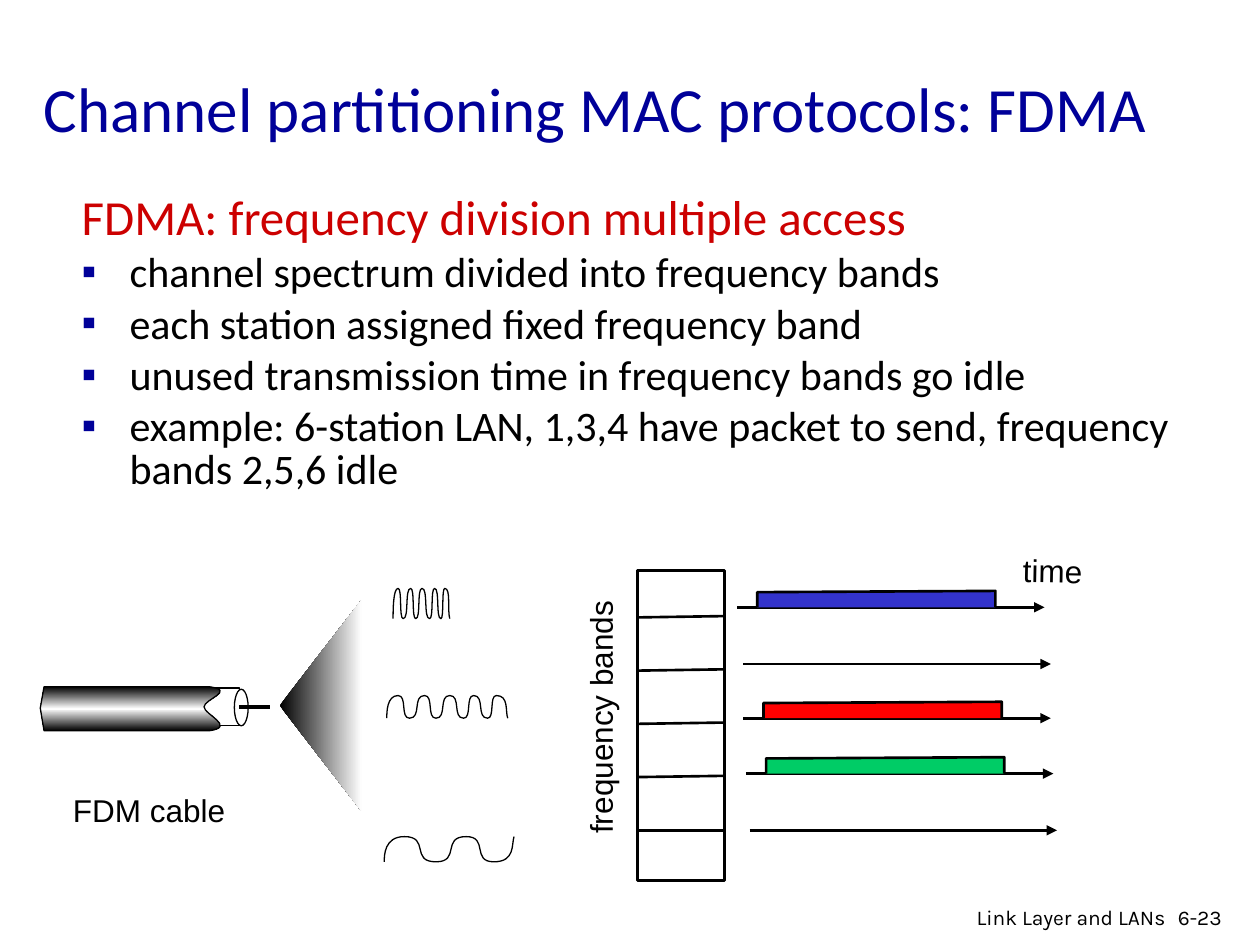
from copy import deepcopy
from typing import NamedTuple, Optional

from lxml.etree import SubElement as Sub
from pptx import Presentation
from pptx.dml.color import RGBColor
from pptx.enum.shapes import MSO_CONNECTOR as Link, MSO_SHAPE as Kind
from pptx.enum.text import MSO_ANCHOR as Anchor, MSO_AUTO_SIZE as Auto, PP_ALIGN as Align
from pptx.oxml.ns import qn
from pptx.util import Inches, Pt

BLACK, WHITE, NAVY, RED = "000000", "FFFFFF", "000099", "CC0000"


class Lane(NamedTuple):
    x: float
    y: float
    fill: Optional[str] = None


class Wave(NamedTuple):
    xs: tuple
    low: float
    high: float


class Label(NamedTuple):
    text: str
    box: tuple
    turn: float = 0


LANES = [
    Lane(5.85, 4.82, "3333CC"),
    Lane(5.9, 5.27),
    Lane(5.9, 5.7, "FF0000"),
    Lane(5.92, 6.14, "00CC66"),
    Lane(5.95, 6.59),
]
WAVES = [
    Wave((3.07, 3.16, 3.25, 3.37, 3.46, 3.57, 3.68, 3.76, 3.87, 3.94, 4.03), 5.7, 5.52),
    Wave((3.12, 3.16, 3.2, 3.26, 3.3, 3.35, 3.41, 3.45, 3.5, 3.53, 3.57), 4.91, 4.67),
    Wave((3.05, 3.21, 3.46, 3.7, 3.92, 4.08), 6.84, 6.64),
]
LABELS = [
    Label("frequency bands", (3.74, 5.49, 2.05, 0.4), 270),
    Label("time", (8.02, 4.33, 0.67, 0.4), 1.1),
    Label("FDM cable", (0.48, 6.23, 1.41, 0.4)),
]
POINTS = [
    "channel spectrum divided into frequency bands",
    "each station assigned fixed frequency band",
    "unused transmission time in frequency bands go idle",
    "example: 6-station LAN, 1,3,4 have packet to send, frequency bands 2,5,6 idle",
]

deck = Presentation()
deck.slide_width, deck.slide_height = Inches(10), Inches(7.5)
slide = deck.slides.add_slide(deck.slide_layouts[6])
shapes = slide.shapes


def tint(part, code: str) -> None:
    if hasattr(part, "solid"):
        part.solid()
        part = part.fore_color
    part.rgb = RGBColor.from_string(code)


def write(para, text: str, *, size=18, face="Arial", color=BLACK, align=None) -> None:
    run = para.add_run()
    run.text = text
    run.font.size, run.font.name = Pt(size), face
    tint(run.font.color, color)
    para.alignment = align


def frame(box: tuple, *, wrap=True, turn=0.0, anchor=Anchor.TOP):
    shape = shapes.add_textbox(*map(Inches, box))
    shape.rotation = turn
    text = shape.text_frame
    text.word_wrap, text.vertical_anchor = wrap, anchor
    text.auto_size = Auto.NONE if wrap else Auto.SHAPE_TO_FIT_TEXT
    return text


def style(shape, fill: Optional[str], width: float) -> None:
    shape.shadow.inherit = False
    if fill:
        tint(shape.fill, fill)
    else:
        shape.fill.background()
    if width:
        tint(shape.line.fill, BLACK)
        shape.line.width = Pt(width)
    else:
        shape.line.fill.background()


def block(kind, box: tuple, width: float) -> None:
    style(shapes.add_shape(kind, *map(Inches, box)), WHITE, width)


def line(start: tuple, end: tuple, width=1.5, arrow=False) -> None:
    link = shapes.add_connector(Link.STRAIGHT, *map(Inches, start + end))
    tint(link.line.fill, BLACK)
    link.line.width = Pt(width)
    props = link._element.spPr
    if arrow:
        Sub(props.find(qn("a:ln")), qn("a:tailEnd"), type="triangle")
    Sub(props, qn("a:effectLst"))


def trace(start: tuple, steps: list, fill: Optional[str] = None, width=0.75, close=False):
    spots = [(Inches(x), Inches(y)) for step in steps for x, y in step]
    maker = shapes.build_freeform(*map(Inches, start))
    maker.add_line_segments(spots, close=close)
    shape = maker.convert_to_shape()
    style(shape, fill, width)
    legs = iter(list(shape._element.iter(qn("a:lnTo"))))
    for step in steps:
        first, *rest = [next(legs) for _ in step]
        if rest:
            first.tag = qn("a:cubicBezTo")
            for leg in rest:
                first.append(leg[0])
                leg.getparent().remove(leg)
    return shape


def blend(shape, codes: list, angle: float) -> None:
    shape.fill.gradient()
    shape.fill.gradient_angle = angle
    stops = shape._element.spPr.find(qn("a:gradFill")).find(qn("a:gsLst"))
    while len(stops) < len(codes):
        stops.append(deepcopy(stops[0]))
    for i, (stop, code) in enumerate(zip(shape.fill.gradient_stops, codes)):
        stop.position = i / (len(codes) - 1)
        tint(stop.color, code)


def ripple(wave: Wave) -> None:
    nodes = [(x, wave.high if i % 2 else wave.low) for i, x in enumerate(wave.xs)]
    steps = []
    for a, d in zip(nodes, nodes[1:]):
        reach, rise = 0.82 * (d[0] - a[0]), d[1] - a[1]
        b, c = (a[0] + reach, a[1]), (d[0] - reach, d[1])
        if a == nodes[0]:
            b, c = (a[0], a[1] + 0.25 * rise), (a[0], d[1])
        elif d == nodes[-1]:
            b, c = (d[0] + 0.01, a[1]), (d[0] - 0.02, a[1] + 0.7 * rise)
        steps.append((b, c, d))
    trace(nodes[0], steps)


def band(lane: Lane) -> None:
    line((lane.x, lane.y), (lane.x + 2.44, lane.y), arrow=True)
    if lane.fill:
        left, right = lane.x + 0.16, lane.x + 2.05
        steps = [((left, lane.y - 0.12),), ((right, lane.y - 0.13),), ((right, lane.y),)]
        trace((left, lane.y), steps, lane.fill, 1.5)


def cone() -> None:
    top = (2.87, 4.76)
    shape = trace(top, [((2.22, 5.6),), ((2.87, 6.44),), (top,)], width=0, close=True)
    blend(shape, [BLACK, WHITE], 0)


def cable() -> None:
    block(Kind.RECTANGLE, (1.61, 5.46, 0.29, 0.3), 0.75)
    top = (0.35, 5.45)
    steps = [
        ((0.32, 5.62),),
        ((0.35, 5.8),),
        ((1.66, 5.8),),
        ((1.88, 5.77), (1.62, 5.67), (1.62, 5.61)),
        ((1.62, 5.55), (1.88, 5.48), (1.66, 5.45)),
        (top,),
    ]
    blend(trace(top, steps, close=True), [BLACK, WHITE, BLACK], 270)
    block(Kind.OVAL, (1.86, 5.47, 0.11, 0.29), 0.75)
    line((1.9, 5.61), (2.14, 5.61), 2.25)


def body() -> None:
    text = frame((0.55, 1.5, 8.99, 5.08))
    for i, words in enumerate(["FDMA: frequency division multiple access"] + POINTS):
        para = text.add_paragraph() if i else text.paragraphs[0]
        props = para._p.get_or_add_pPr()
        props.set("marL", str(Inches(0.38)))
        props.set("indent", str(Inches(-0.38)))
        if i:
            Sub(Sub(props, qn("a:buClr")), qn("a:srgbClr"), val=NAVY)
            Sub(props, qn("a:buFont"), typeface="Arial")
            Sub(props, qn("a:buChar"), char="▪")
            para.space_before = Pt(4.8)
        para.line_spacing = 0.85
        write(para, words, size=24 if i else 28, face="Calibri", color=BLACK if i else RED)


body()
block(Kind.RECTANGLE, (5.06, 4.53, 0.69, 2.46), 1.5)
for row in range(5):
    y = 4.9 + (6.59 - 4.9) / 4 * row
    line((5.06, y), (5.74, y if row == 4 else y - 0.01))
for lane in LANES:
    band(lane)
cone()
cable()
for wave in WAVES:
    ripple(wave)
for label in LABELS:
    write(frame(label.box, wrap=False, turn=label.turn).paragraphs[0], label.text)
write(frame((0.25, 0.23, 9.44, 1.25), anchor=Anchor.MIDDLE).paragraphs[0],
      "Channel partitioning MAC protocols: FDMA", size=36, face="Calibri", color=NAVY)
write(frame((9.25, 7.13, 0.6, 0.3)).paragraphs[0], "6-23", size=12, face="Karla")
write(frame((6.97, 7.13, 2.38, 0.26)).paragraphs[0], "Link Layer and LANs",
      size=12, face="Karla", align=Align.RIGHT)
deck.save("out.pptx")
